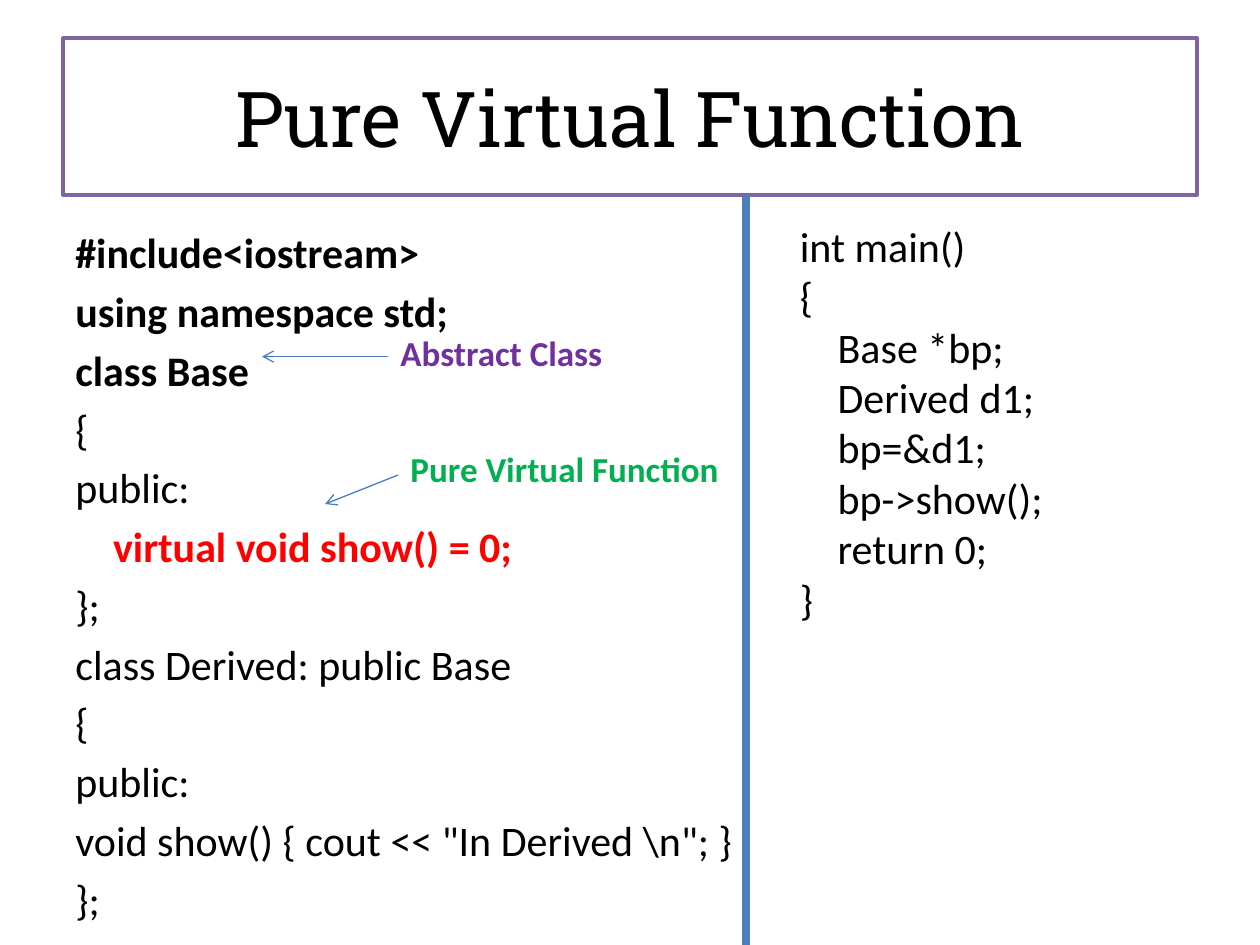
from dataclasses import dataclass

from lxml import etree
from pptx import Presentation
from pptx.dml.color import RGBColor as RGB
from pptx.enum.shapes import MSO_CONNECTOR as CONN, MSO_SHAPE as SHAPE
from pptx.enum.text import MSO_ANCHOR as ANCHOR, MSO_AUTO_SIZE as FIT, PP_ALIGN as ALIGN
from pptx.oxml.ns import qn
from pptx.util import Inches, Pt


@dataclass(frozen=True)
class Theme:
    """Colours, fonts and type sizes of the slide."""
    text: RGB = RGB(0, 0, 0)
    paper: RGB = RGB(255, 255, 255)
    frame: RGB = RGB(0x80, 0x64, 0xA2)
    rule: RGB = RGB(0x4B, 0x7E, 0xBC)
    alert: RGB = RGB(255, 0, 0)
    purple: RGB = RGB(0x70, 0x30, 0xA0)
    green: RGB = RGB(0, 0xB0, 0x50)
    title_font: str = "Roboto Slab"
    body_font: str = "Calibri"
    title_size: int = 44
    code_size: int = 24
    note_size: int = 20


T = Theme()

CLASSES = [
    ("#include<iostream>", True, T.text),
    ("using namespace std;", True, T.text),
    ("class Base", True, T.text),
    ("{", False, T.text),
    ("public:", False, T.text),
    ("\tvirtual void show() = 0;", True, T.alert),
    ("};", False, T.text),
    ("class Derived: public Base", False, T.text),
    ("{", False, T.text),
    ("public:", False, T.text),
    ('void show() { cout << "In Derived \\n"; }', False, T.text),
    ("};", False, T.text),
]
MAIN = [(line, False, T.text) for line in (
    "int main()", "{", "\tBase *bp;", "\tDerived d1;", "\tbp=&d1;",
    "\tbp->show();", "\treturn 0;", "}")]


def style(p, text, font, size, color, bold=False):
    """Fill a paragraph and set its font."""
    p.text = text
    p.font.name, p.font.size, p.font.bold = font, Pt(size), bold
    p.font.color.rgb = color


def add_title(slide, box, text):
    """Add the framed title."""
    sp = slide.shapes.add_shape(SHAPE.RECTANGLE, *map(Inches, box))
    sp.shadow.inherit = False
    sp.fill.solid()
    sp.fill.fore_color.rgb = T.paper
    sp.line.color.rgb = T.frame
    sp.line.width = Pt(2)
    tf = sp.text_frame
    tf.word_wrap = True
    tf.vertical_anchor = ANCHOR.MIDDLE
    p = tf.paragraphs[0]
    p.alignment = ALIGN.CENTER
    style(p, text, T.title_font, T.title_size, T.text)


def add_code(slide, box, lines, gap=0):
    """Add a code listing, indenting the lines that start with a tab."""
    tf = slide.shapes.add_textbox(*map(Inches, box)).text_frame
    tf.word_wrap = True
    for i, (line, bold, color) in enumerate(lines):
        p = tf.add_paragraph() if i else tf.paragraphs[0]
        style(p, line.lstrip("\t"), T.body_font, T.code_size, color, bold)
        p.space_before = Pt(gap if i else 0)
        if line.startswith("\t"):
            p._p.get_or_add_pPr().set("marL", str(Inches(0.3)))


def add_line(slide, start, end, width, arrow=False):
    """Add a straight line, with an open arrowhead at its end if asked."""
    ends = map(Inches, (*start, *end))
    line = slide.shapes.add_connector(CONN.STRAIGHT, *ends)
    line.line.color.rgb = T.rule
    line.line.width = Pt(width)
    if arrow:
        etree.SubElement(line.line._get_or_add_ln(), qn("a:tailEnd"), type="arrow")
    etree.SubElement(line._element.spPr, qn("a:effectLst"))


def add_callout(slide, box, text, color, start, tip):
    """Add a bold note and an arrow; start and tip are offsets from its corner."""
    left, top = box[:2]
    add_line(slide, *[(left + x, top + y) for x, y in (start, tip)], 0.75, arrow=True)
    tf = slide.shapes.add_textbox(*map(Inches, box)).text_frame
    tf.word_wrap = False
    tf.auto_size = FIT.SHAPE_TO_FIT_TEXT
    style(tf.paragraphs[0], text, T.body_font, T.note_size, color, True)


def build_code_slide(prs):
    """Build the slide with two code columns and their callouts."""
    slide = prs.slides.add_slide(prs.slide_layouts[6])
    add_code(slide, (0.5, 1.75, 9, 5.75), CLASSES, gap=4.8)
    add_title(slide, (0.5, 0.3, 9, 1.25), "Pure Virtual Function")
    add_line(slide, (5.92, 1.55), (5.92, 7.5), 4.5)
    add_code(slide, (6.25, 1.7, 3.67, 3.64), MAIN)
    add_callout(slide, (3.08, 2.58, 1.82, 0.44), "Abstract Class", T.purple,
                (0, 0.25), (-1, 0.25))
    add_callout(slide, (3.16, 3.5, 2.67, 0.44), "Pure Virtual Function", T.green,
                (0, 0.27), (-0.58, 0.5))


prs = Presentation()
prs.slide_width, prs.slide_height = Inches(10), Inches(7.5)
build_code_slide(prs)
prs.save("out.pptx")
